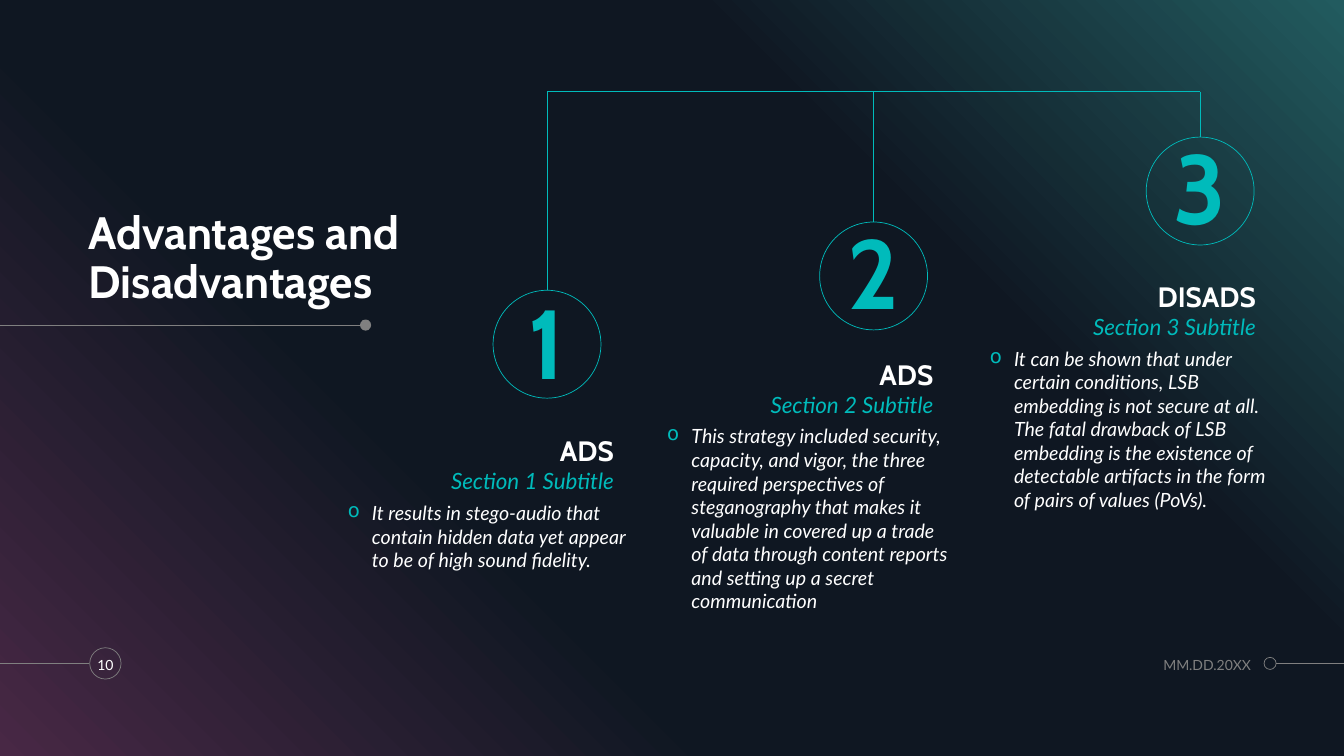
from dataclasses import dataclass

from lxml.etree import SubElement
from pptx import Presentation
from pptx.dml.color import RGBColor
from pptx.enum.shapes import MSO_CONNECTOR, MSO_SHAPE
from pptx.enum.text import MSO_ANCHOR, PP_ALIGN
from pptx.oxml import parse_xml
from pptx.oxml.ns import nsdecls, qn
from pptx.util import Inches, Pt

COLORS = {
    "purple": "482845",
    "navy": "0F1722",
    "green": "225B5F",
    "teal": "00BBBB",
    "gray": "808080",
    "white": "FFFFFF",
}
GRADIENT = [(0, "purple"), (34, "navy"), (69, "navy"), (100, "green")]

# Positions and sizes are percentages of the slide's width and height.
BUS_Y = 12.13
FIRST_STEM, STEM_STEP = 40.7, 24.3
RING = 8.03
FOOTER_Y = 87.75


@dataclass(frozen=True)
class Box:
    left: float
    top: float
    width: float
    height: float


@dataclass(frozen=True)
class TextStyle:
    size: float
    color: str
    font: str = "Lato"
    bold: bool = False
    italic: bool = False
    align: PP_ALIGN = PP_ALIGN.LEFT
    anchor: MSO_ANCHOR = MSO_ANCHOR.TOP
    line_spacing: float = 1.0
    space_before: float = 0


@dataclass(frozen=True)
class Section:
    heading: str
    subtitle: str
    body: str
    ring_y: float
    left: float
    top: float
    body_height: float
    digit_inset: float = 0.04


TITLE = TextStyle(32.4, "white", "Cabin", bold=True, anchor=MSO_ANCHOR.BOTTOM, line_spacing=0.9)
DIGIT = TextStyle(70, "teal", "Cabin", bold=True, align=PP_ALIGN.CENTER,
                  anchor=MSO_ANCHOR.MIDDLE, line_spacing=0.9, space_before=10)
HEADING = TextStyle(20, "white", "Cabin", bold=True, align=PP_ALIGN.RIGHT,
                    anchor=MSO_ANCHOR.BOTTOM, line_spacing=0.9, space_before=6)
SUBTITLE = TextStyle(16, "teal", italic=True, align=PP_ALIGN.RIGHT,
                     anchor=MSO_ANCHOR.BOTTOM, line_spacing=0.9, space_before=6)
BODY = TextStyle(14, "white", italic=True, space_before=6)
PAGE = TextStyle(10, "white", align=PP_ALIGN.CENTER, anchor=MSO_ANCHOR.MIDDLE)
DATE = TextStyle(10, "gray", align=PP_ALIGN.RIGHT, anchor=MSO_ANCHOR.MIDDLE)

SECTIONS = [
    Section("ADS", "Section 1 Subtitle",
            "It results in stego-audio that contain hidden data yet appear to be of high "
            "sound fidelity.",
            45.53, 25.88, 56.67, 18.67, digit_inset=0.08),
    Section("ADS", "Section 2 Subtitle",
            "This strategy included security, capacity, and vigor, the three required "
            "perspectives of steganography that makes it valuable in covered up a trade of "
            "data through content reports and setting up a secret communication",
            36.5, 49.65, 46.53, 26),
    Section("DISADS", "Section 3 Subtitle",
            "It can be shown that under certain conditions, LSB embedding is not secure at "
            "all. The fatal drawback of LSB embedding is the existence of detectable "
            "artifacts in the form of pairs of values (PoVs).",
            25.27, 73.65, 36.27, 33.73),
]

prs = Presentation()
prs.slide_width, prs.slide_height = Inches(13.333), Inches(7.5)
slide = prs.slides.add_slide(prs.slide_layouts[6])


def rgb(name: str) -> RGBColor:
    return RGBColor.from_string(COLORS[name])


def across(share: float) -> int:
    return round(prs.slide_width * share / 100)


def down(share: float) -> int:
    return round(prs.slide_height * share / 100)


def add_backdrop() -> None:
    sp = slide.shapes.add_shape(MSO_SHAPE.RECTANGLE, 0, 0, prs.slide_width, prs.slide_height)
    sp.shadow.inherit = False
    sp.line.fill.background()
    stops = "".join(f'<a:gs pos="{pos * 1000}"><a:srgbClr val="{COLORS[name]}"/></a:gs>'
                    for pos, name in GRADIENT)
    fill = parse_xml(f'<a:gradFill {nsdecls("a")} rotWithShape="1"><a:gsLst>{stops}</a:gsLst>'
                     '<a:lin ang="18900000" scaled="0"/></a:gradFill>')
    sp._element.spPr.find(qn("a:prstGeom")).addnext(fill)


def add_line(x1: float, y1: float, x2: float, y2: float, color: str) -> None:
    line = slide.shapes.add_connector(MSO_CONNECTOR.STRAIGHT,
                                      across(x1), down(y1), across(x2), down(y2))
    line.line.color.rgb = rgb(color)
    line.line.width = Pt(0.5)
    SubElement(line._element.spPr, qn("a:effectLst"))


def add_circle(x: float, y: float, diameter: float, color: str, filled: bool = False):
    """Centre a circle on (x, y); its diameter is a share of the slide's width."""
    d = across(diameter)
    sp = slide.shapes.add_shape(MSO_SHAPE.OVAL, across(x) - d // 2, down(y) - d // 2, d, d)
    sp.shadow.inherit = False
    if filled:
        sp.fill.solid()
        sp.fill.fore_color.rgb = rgb(color)
        sp.line.fill.background()
    else:
        sp.fill.background()
        sp.line.color.rgb = rgb(color)
        sp.line.width = Pt(0.5)
    return sp


def write(sp, text: str, style: TextStyle, inset_top: float = 0):
    tf = sp.text_frame
    tf.word_wrap = True
    tf.vertical_anchor = style.anchor
    tf.margin_left = tf.margin_right = tf.margin_bottom = 0
    tf.margin_top = Inches(inset_top)
    p = tf.paragraphs[0]
    p.text = text
    p.alignment = style.align
    p.line_spacing = style.line_spacing
    p.space_before = Pt(style.space_before)
    p.font.name, p.font.size = style.font, Pt(style.size)
    p.font.bold, p.font.italic = style.bold, style.italic
    p.font.color.rgb = rgb(style.color)
    # Runs take the paragraph's font explicitly where the renderer needs it.
    r = p.runs[0]
    r.font.name, r.font.size = style.font, Pt(style.size)
    r.font.bold, r.font.italic = style.bold, style.italic
    r.font.color.rgb = rgb(style.color)
    return p


def add_text(box: Box, text: str, style: TextStyle):
    sp = slide.shapes.add_textbox(across(box.left), down(box.top),
                                  across(box.width), down(box.height))
    return write(sp, text, style)


def add_bullet(p) -> None:
    pPr = p._p.get_or_add_pPr()
    pPr.set("marL", str(Inches(0.24)))
    pPr.set("indent", str(-Inches(0.24)))
    color = parse_xml(f'<a:buClr {nsdecls("a")}><a:srgbClr val="{COLORS["teal"]}"/></a:buClr>')
    char = parse_xml(f'<a:buChar {nsdecls("a")} char="o"/>')
    pPr.find(qn("a:spcBef")).addnext(color)
    color.addnext(char)


def add_section(number: int, section: Section) -> None:
    x = FIRST_STEM + (number - 1) * STEM_STEP
    ring = add_circle(x, section.ring_y, RING, "teal")
    ring_top = 100 * ring.top / prs.slide_height
    add_line(x, BUS_Y, x, ring_top, "teal")
    write(ring, str(number), DIGIT, section.digit_inset)
    left, top = section.left, section.top
    add_text(Box(left, top, 19.8, 5.2), section.heading, HEADING)
    add_text(Box(left, top + 5.27, 19.8, 3.47), section.subtitle, SUBTITLE)
    add_bullet(add_text(Box(left, top + 9.6, 21.23, section.body_height), section.body, BODY))


def main() -> None:
    add_backdrop()
    add_text(Box(6.6, 22, 23.2, 18.8), "Advantages and Disadvantages", TITLE)
    add_line(0, 43, 26.85, 43, "gray")
    add_circle(27.2, 43, 0.83, "gray", filled=True)

    add_line(FIRST_STEM, BUS_Y, FIRST_STEM + 2 * STEM_STEP, BUS_Y, "teal")
    for number, section in enumerate(SECTIONS, 1):
        add_section(number, section)

    add_line(0, FOOTER_Y, 6.65, FOOTER_Y, "gray")
    add_circle(7.84, FOOTER_Y, 2.33, "gray")
    add_text(Box(6.38, 85.73, 2.92, 4.4), "10", PAGE)
    add_text(Box(82.13, 85.73, 10.95, 4.4), "MM.DD.20XX", DATE)
    add_circle(94.5, FOOTER_Y, 0.9, "gray")
    add_line(94.95, FOOTER_Y, 100, FOOTER_Y, "gray")
    prs.save("out.pptx")


if __name__ == "__main__":
    main()
